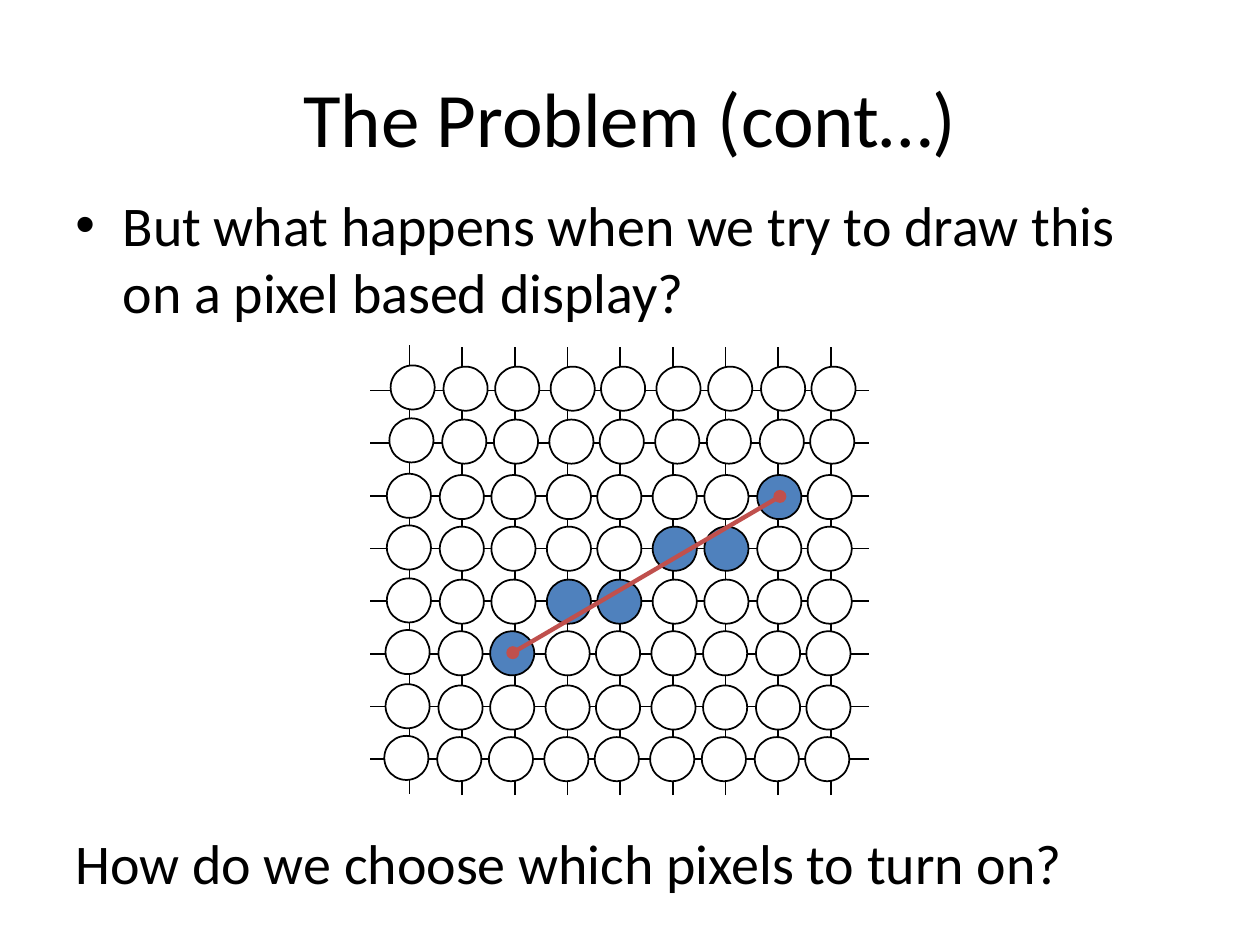
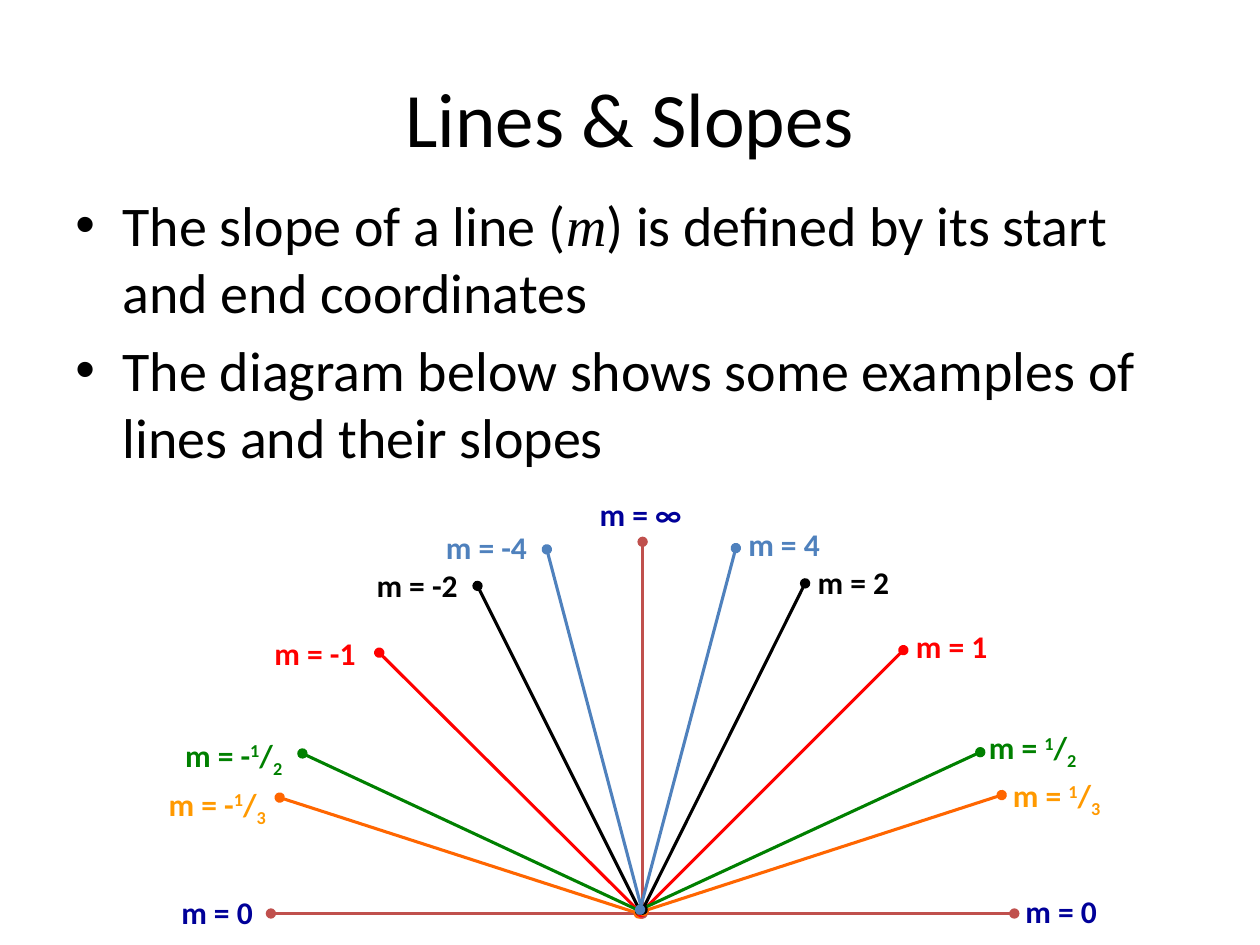
"""Build two slides on line drawing: pixels to turn on, and slopes of lines."""
from dataclasses import dataclass

from lxml.etree import SubElement
from pptx import Presentation
from pptx.dml.color import RGBColor as Rgb
from pptx.enum.shapes import MSO_CONNECTOR as Connector, MSO_SHAPE as Shape
from pptx.enum.text import MSO_ANCHOR as Anchor, PP_ALIGN as Align
from pptx.oxml.ns import qn
from pptx.util import Inches, Pt

GRID_COLUMNS, GRID_ROWS = 100, 75
TITLE_ONLY = 5


@dataclass(frozen=True)
class Theme:
    """Colours, fonts and type sizes of the deck."""
    ink: str = "000000"
    paper: str = "FFFFFF"
    blue: str = "4F81BD"
    brick: str = "C0504D"
    navy: str = "000099"
    red: str = "FF0000"
    orange: str = "FF6600"
    amber: str = "FF9900"
    green: str = "008000"
    font: str = "Calibri"
    math_font: str = "Times New Roman"
    title_size: float = 44
    body_size: float = 32
    label_size: float = 18
    hairline: float = 1
    ray_line: float = 1.75
    segment_line: float = 2.5
    superscript: int = 30000
    subscript: int = -25000


@dataclass(frozen=True)
class Ray:
    """A line from the hub to a tip, with its slope label."""
    color: str
    start: tuple
    tip: tuple
    label: str
    label_box: tuple
    label_color: str = ""


class SlideBuilder:
    """Holds the theme and current slide, and places elements on a grid."""

    def __init__(self, deck, theme):
        """Keep the deck and the theme."""
        self.deck, self.theme, self.page = deck, theme, None

    def x(self, columns):
        """Turn grid columns into a length."""
        return round(self.deck.slide_width * columns / GRID_COLUMNS)

    def y(self, rows):
        """Turn grid rows into a length."""
        return round(self.deck.slide_height * rows / GRID_ROWS)

    def frame(self, left, top, width, height):
        """Turn a grid rectangle into lengths."""
        return self.x(left), self.y(top), self.x(width), self.y(height)

    def format_span(self, span, size, color=None, bold=False, font=None):
        """Give a run its font, size and colour."""
        span.font.name = font or self.theme.font
        span.font.size = Pt(size)
        span.font.bold = bold
        span.font.color.rgb = Rgb.from_string(color or self.theme.ink)

    def start(self, title):
        """Add a slide with a centred title."""
        self.page = self.deck.slides.add_slide(self.deck.slide_layouts[TITLE_ONLY])
        box = self.page.shapes.title
        box.left, box.top, box.width, box.height = self.frame(5, 3, 90, 12.5)
        box.text_frame.text = title
        box.text_frame.vertical_anchor = Anchor.MIDDLE
        para = box.text_frame.paragraphs[0]
        para.alignment = Align.CENTER
        self.format_span(para.runs[0], self.theme.title_size)

    def text_box(self, area):
        """Add an empty wrapping text box and return its text frame."""
        text_frame = self.page.shapes.add_textbox(*self.frame(*area)).text_frame
        text_frame.word_wrap = True
        return text_frame

    def body(self, area, lines, bulleted=True):
        """Add body text, with words between asterisks set as variables."""
        theme = self.theme
        text_frame = self.text_box(area)
        for index, line in enumerate(lines):
            para = text_frame.add_paragraph() if index else text_frame.paragraphs[0]
            if index:
                para.space_before = Pt(theme.body_size / 5)
            if bulleted:
                self.bullet(para)
            for position, words in enumerate(line.split("*")):
                variable = position % 2 == 1
                span = para.add_run()
                span.text = words
                self.format_span(span, theme.body_size,
                                 font=theme.math_font if variable else None)
                span.font.italic = variable

    def bullet(self, para):
        """Give a paragraph a round bullet and a hanging indent."""
        properties = para._p.get_or_add_pPr()
        indent = self.x(3.75)
        properties.set("marL", str(indent))
        properties.set("indent", str(-indent))
        SubElement(properties, qn("a:buFont")).set("typeface", "Arial")
        SubElement(properties, qn("a:buChar")).set("char", "•")

    def label(self, area, text, color):
        """Add a bold label, raising and lowering the parts of a fraction."""
        theme = self.theme
        pieces = [(text, 0)]
        if "/" in text:
            head, denominator = text.split("/")
            pieces = [(head[:-1], 0), (head[-1], theme.superscript),
                      ("/", 0), (denominator, theme.subscript)]
        para = self.text_box(area).paragraphs[0]
        for words, baseline in pieces:
            span = para.add_run()
            span.text = words
            self.format_span(span, theme.label_size, color, bold=True)
            if baseline:
                span.font._element.set("baseline", str(baseline))

    def line(self, start, end, color, width, dotted_ends=False):
        """Add a straight line, optionally with a dot at both ends."""
        connector = self.page.shapes.add_connector(
            Connector.STRAIGHT, self.x(start[0]), self.y(start[1]),
            self.x(end[0]), self.y(end[1]))
        connector.line.color.rgb = Rgb.from_string(color)
        connector.line.width = Pt(width)
        properties = connector._element.spPr
        if dotted_ends:
            for tag in ("a:headEnd", "a:tailEnd"):
                SubElement(properties.find(qn("a:ln")), qn(tag)).set("type", "oval")
        SubElement(properties, qn("a:effectLst"))

    def pixel(self, left, top, size, lit):
        """Add one round pixel, lit or unlit."""
        theme = self.theme
        dot = self.page.shapes.add_shape(Shape.OVAL, *self.frame(left, top, size, size))
        dot.shadow.inherit = False
        dot.fill.solid()
        dot.fill.fore_color.rgb = Rgb.from_string(theme.blue if lit else theme.paper)
        dot.line.color.rgb = Rgb.from_string(theme.ink)
        dot.line.width = Pt(theme.hairline)

    def ray(self, ray):
        """Add a sloped line and its label."""
        self.line(ray.start, ray.tip, ray.color, self.theme.ray_line, dotted_ends=True)
        self.label(ray.label_box, ray.label, ray.label_color or ray.color)


def build_pixel_slide(builder):
    """Show a line drawn across a grid of pixels."""
    theme = builder.theme
    builder.start("The Problem (cont…)")
    builder.body((5, 14.6, 90, 12.9),
                 ["But what happens when we try to draw this on a pixel based display?"])

    pitch, pixel_size = 4.18, 3.5
    pixel_lefts = (30.5, 34.7, 38.8, 43.2, 47.2, 51.6, 55.7, 59.9, 63.9)
    pixel_tops = (29.1, 33.3, 37.7, 41.8, 46, 50.1, 54.4, 58.5)
    row_drifts = (0.5, 0.4, 0.2, 0.2, 0.2, 0.1, 0.1, 0)
    lit_pixels = {(2, 7), (3, 5), (3, 6), (4, 3), (4, 4), (5, 2)}
    first_column_lift = 0.1

    for column in range(len(pixel_lefts)):
        lift = 0 if column else first_column_lift
        wire = 32.5 + column * pitch
        builder.line((wire, 63.1 - lift), (wire, 27.5 - lift), theme.ink, theme.hairline)
    for row in range(len(pixel_tops)):
        wire = 31 + row * pitch
        builder.line((29.4, wire), (69, wire), theme.ink, theme.hairline)
    for row, (top, drift) in enumerate(zip(pixel_tops, row_drifts)):
        for column, left in enumerate(pixel_lefts):
            lift = 0 if column else first_column_lift
            builder.pixel(left + drift, top - lift, pixel_size, (row, column) in lit_pixels)

    builder.line((40.7, 51.8), (61.9, 39.4), theme.brick, theme.segment_line, dotted_ends=True)
    builder.body((5, 65.3, 90, 7.6),
                 ["How do we choose which pixels to turn on?"], bulleted=False)


def build_slope_slide(builder):
    """Show a fan of lines with their slopes."""
    theme = builder.theme
    builder.start("Lines & Slopes")
    builder.body((5, 14.6, 90, 25), [
        "The slope of a line (*m*) is defined by its start and end coordinates",
        "The diagram below shows some examples of lines and their slopes"])

    builder.line((21.5, 72.5), (80.5, 72.5), theme.brick, theme.ray_line, dotted_ends=True)
    for left, top in ((13.4, 70.4), (80.4, 70.3)):
        builder.label((left, top, 8.5, 4), "m = 0", theme.navy)

    rays = (
        Ray(theme.red, (50.9, 72.5), (30.1, 51.8), "m = -1", (20.8, 49.8, 9.3, 4)),
        Ray(theme.orange, (50.7, 72.5), (22.2, 63.3), "m = -1/3",
            (12.4, 61.8, 10.5, 4), theme.amber),
        Ray(theme.green, (51, 72.4), (24, 59.8), "m = -1/2", (13.7, 57.9, 10.5, 4)),
        Ray(theme.ink, (50.8, 72.3), (37.9, 46.5), "m = -2", (28.9, 44.4, 9.3, 4)),
        Ray(theme.blue, (51, 72.4), (43.4, 43.6), "m = -4", (34.4, 41.4, 9.3, 4)),
        Ray(theme.brick, (51, 72.5), (51, 43), "m = ∞", (46.6, 38.8, 8.9, 4), theme.navy),
        Ray(theme.red, (50.9, 72.4), (71.7, 51.6), "m = 1", (71.7, 49.3, 8.5, 4)),
        Ray(theme.orange, (51.1, 72.3), (79.5, 63.1), "m = 1/3",
            (79.4, 61.1, 9.6, 4), theme.amber),
        Ray(theme.green, (50.8, 72.2), (77.8, 59.7), "m = 1/2", (77.5, 57.3, 9.6, 4)),
        Ray(theme.ink, (51, 72.2), (63.9, 46.3), "m = 2", (63.9, 44.2, 8.5, 4)),
        Ray(theme.blue, (50.8, 72.2), (58.4, 43.5), "m = 4", (58.4, 41.2, 8.5, 4)),
    )
    for ray in rays:
        builder.ray(ray)


def main():
    """Build and save the deck."""
    deck = Presentation()
    deck.slide_width, deck.slide_height = Inches(10), Inches(7.5)
    builder = SlideBuilder(deck, Theme())
    build_pixel_slide(builder)
    build_slope_slide(builder)
    deck.save("out.pptx")


if __name__ == "__main__":
    main()
